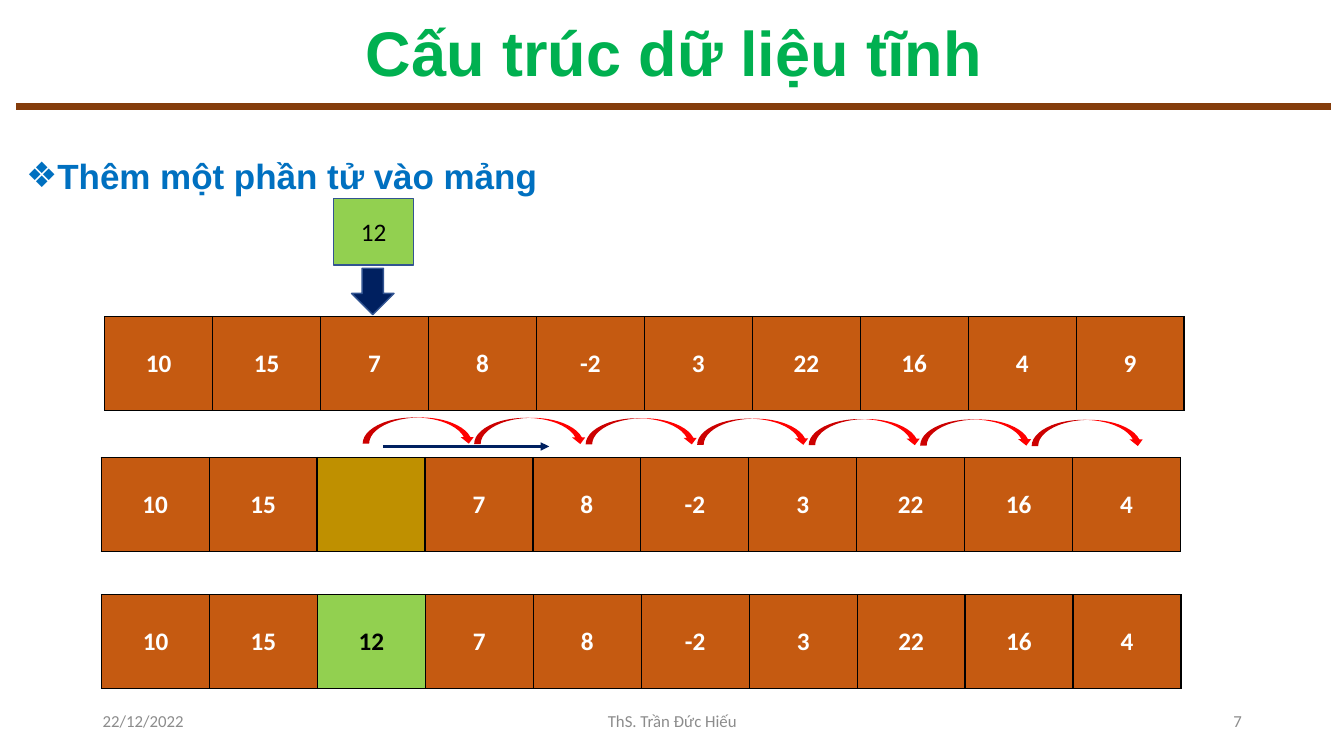
from dataclasses import dataclass

from lxml import etree
from pptx import Presentation
from pptx import util as u
from pptx.dml.color import RGBColor
from pptx.enum import shapes, text
from pptx.oxml import ns

Cm, Pt = u.Cm, u.Pt
Kind, Align = shapes.MSO_SHAPE, text.PP_ALIGN


@dataclass(frozen=True)
class Theme:
    head: str = "Arial"
    body: str = "Calibri"
    green: str = "00B050"
    blue: str = "0070C0"
    navy: str = "002060"
    edge: str = "325491"
    brown: str = "843C0B"
    rust: str = "C55A11"
    gold: str = "BF9000"
    lime: str = "92D050"
    red: str = "FF0000"
    gray: str = "8C8C8C"
    black: str = "000000"
    white: str = "FFFFFF"
    title: int = 45
    lead: int = 25
    cell: int = 18
    foot: int = 12


THEME = Theme()
SLOT = 2  # index where the new element goes
NEW = "12"


def rgb(code):
    return RGBColor.from_string(code)


def add_run(para, words, size, color, face=THEME.body, bold=False):
    run = para.add_run()
    run.text = words
    font = run.font
    font.name, font.size, font.bold = face, Pt(size), bold
    font.color.rgb = rgb(color)


def add_title(slide, words):
    title = slide.shapes.title
    title.left, title.top = Cm(0.41), Cm(0.38)
    title.width, title.height = Cm(33.15), Cm(2.06)
    frame = title.text_frame
    frame.auto_size = text.MSO_AUTO_SIZE.NONE
    frame.vertical_anchor = text.MSO_ANCHOR.MIDDLE
    para = frame.paragraphs[0]
    para.alignment, para.line_spacing = Align.CENTER, 0.9
    add_run(para, words, THEME.title, THEME.green, THEME.head, True)


def add_box(slide, left, top, width, height):
    box = slide.shapes.add_textbox(Cm(left), Cm(top), Cm(width), Cm(height))
    box.text_frame.word_wrap = True
    return box.text_frame


def add_lead(slide, words):
    para = add_box(slide, 0.41, 3.45, 33.15, 15.37).paragraphs[0]
    props = para._p.get_or_add_pPr()
    props.set("marL", str(Cm(0.64)))
    props.set("indent", str(-Cm(0.64)))
    etree.SubElement(props, ns.qn("a:buFont"), typeface=THEME.head)
    etree.SubElement(props, ns.qn("a:buChar"), char="❖")
    para.line_spacing = 1.3
    add_run(para, words, THEME.lead, THEME.blue, THEME.head, True)


def add_foot(slide, left, width, words, align):
    frame = add_box(slide, left, 17.65, width, 1.02)
    frame.vertical_anchor = text.MSO_ANCHOR.MIDDLE
    para = frame.paragraphs[0]
    para.alignment = align
    add_run(para, words, THEME.foot, THEME.gray)


def add_line(slide, left, right, top, color, width, arrow=False):
    line = slide.shapes.add_connector(
        shapes.MSO_CONNECTOR.STRAIGHT, Cm(left), Cm(top), Cm(right), Cm(top))
    line.line.color.rgb = rgb(color)
    line.line.width = Pt(width)
    if arrow:
        etree.SubElement(line.line._get_or_add_ln(),
                         ns.qn("a:tailEnd"), type="triangle")
    etree.SubElement(line._element.spPr, ns.qn("a:effectLst"))


def add_shape(slide, kind, left, top, width, height, fill, edge=None):
    shape = slide.shapes.add_shape(
        kind, Cm(left), Cm(top), Cm(width), Cm(height))
    shape.shadow.inherit = False
    shape.fill.solid()
    shape.fill.fore_color.rgb = rgb(fill)
    if edge:
        shape.line.color.rgb = rgb(edge)
        shape.line.width = Pt(1)
    else:
        shape.line.fill.background()
    return shape


def add_edges(cell):
    """Give all four sides of a table cell a thin black border."""
    props = cell._tc.get_or_add_tcPr()
    for side in "LRTB":
        line = etree.SubElement(props, ns.qn(f"a:ln{side}"), w=str(Pt(1)))
        fill = etree.SubElement(line, ns.qn("a:solidFill"))
        etree.SubElement(fill, ns.qn("a:srgbClr"), val=THEME.black)


def add_array(slide, left, top, items, fill=THEME.rust, color=THEME.white):
    """Draw items as one row; fill and color style the cell at SLOT."""
    count = len(items)
    frame = slide.shapes.add_table(
        1, count, Cm(left), Cm(top), Cm(2.72 * count), Cm(2.36))
    table = frame.table
    table.first_row = table.horz_banding = False
    for col in table.columns:
        col.width = Cm(2.72)
    for i, item in enumerate(items):
        cell = table.cell(0, i)
        add_edges(cell)
        cell.fill.solid()
        cell.fill.fore_color.rgb = rgb(fill if i == SLOT else THEME.rust)
        cell.vertical_anchor = text.MSO_ANCHOR.MIDDLE
        para = cell.text_frame.paragraphs[0]
        para.alignment = Align.CENTER
        if item:
            add_run(para, item, THEME.cell,
                    color if i == SLOT else THEME.white, bold=True)


def add_new(slide):
    """Draw the new element and the arrow that points to its slot."""
    add_shape(slide, Kind.DOWN_ARROW, 8.86, 6.76, 1.07, 1.17,
              THEME.navy, THEME.edge)
    box = add_shape(slide, Kind.RECTANGLE, 8.41, 5, 2.01, 1.68,
                    THEME.lime, THEME.edge)
    box.text_frame.vertical_anchor = text.MSO_ANCHOR.MIDDLE
    para = box.text_frame.paragraphs[0]
    para.alignment = Align.CENTER
    add_run(para, NEW, THEME.cell, THEME.black)


def main():
    deck = Presentation()
    deck.slide_width, deck.slide_height = Cm(33.87), Cm(19.05)
    slide = deck.slides.add_slide(deck.slide_layouts[5])

    add_line(slide, 0.41, 33.55, 2.69, THEME.brown, 5)
    add_title(slide, "Cấu trúc dữ liệu tĩnh")
    add_lead(slide, "Thêm một phần tử vào mảng")
    add_foot(slide, 2.34, 7.62, "22/12/2022", Align.LEFT)
    add_foot(slide, 11.23, 11.43, "ThS. Trần Đức Hiếu", Align.CENTER)
    add_foot(slide, 23.93, 7.62, "7", Align.RIGHT)

    start = ["10", "15", "7", "8", "-2", "3", "22", "16", "4", "9"]
    front, rest = start[:SLOT], start[SLOT:-1]
    add_array(slide, 2.64, 7.98, start)
    add_new(slide)
    add_array(slide, 2.55, 11.53, front + [""] + rest, THEME.gold)
    add_line(slide, 9.65, 13.84, 11.25, THEME.navy, 2, arrow=True)
    add_array(slide, 2.56, 14.99, front + [NEW] + rest,
              THEME.lime, THEME.black)
    for i in range(len(rest)):
        add_shape(slide, Kind.CURVED_DOWN_ARROW, 9.14 + 2.81 * i,
                  10.52 + 0.01 * i, 2.84, 0.66, THEME.red)

    deck.save("out.pptx")


if __name__ == "__main__":
    main()
